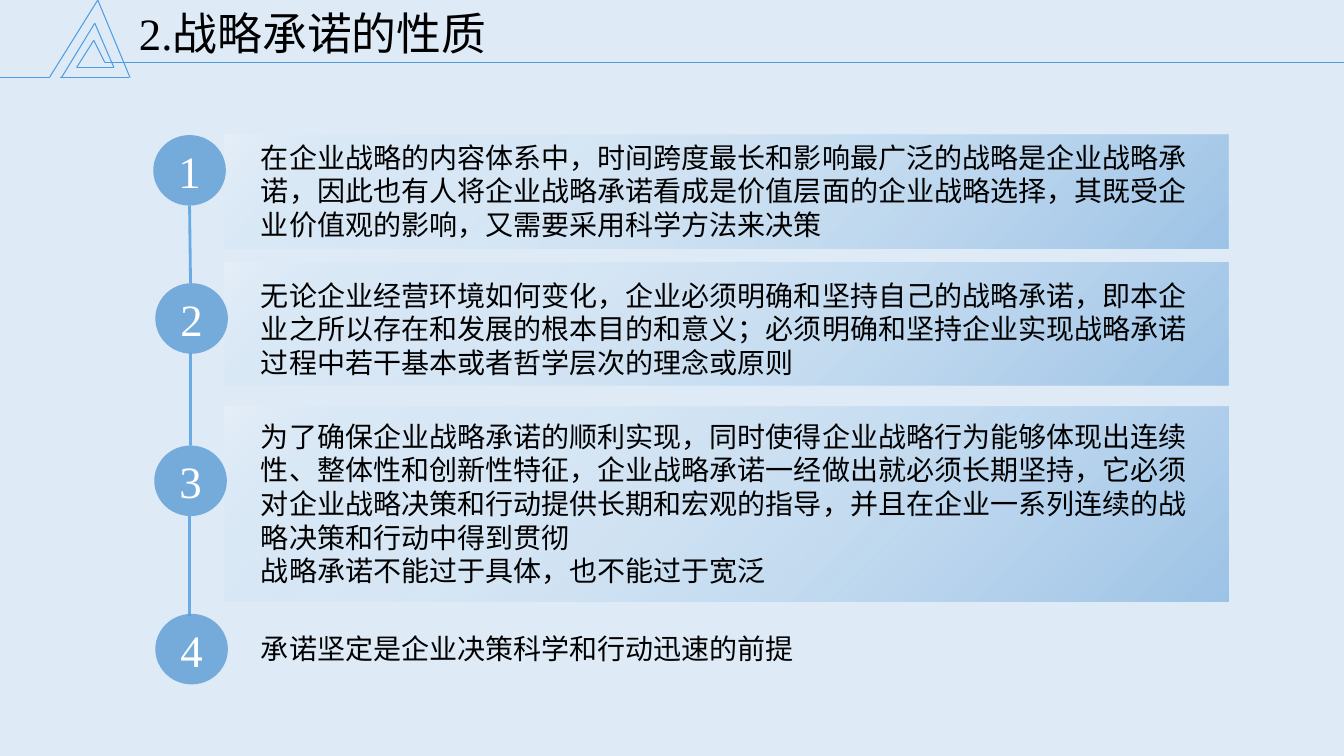
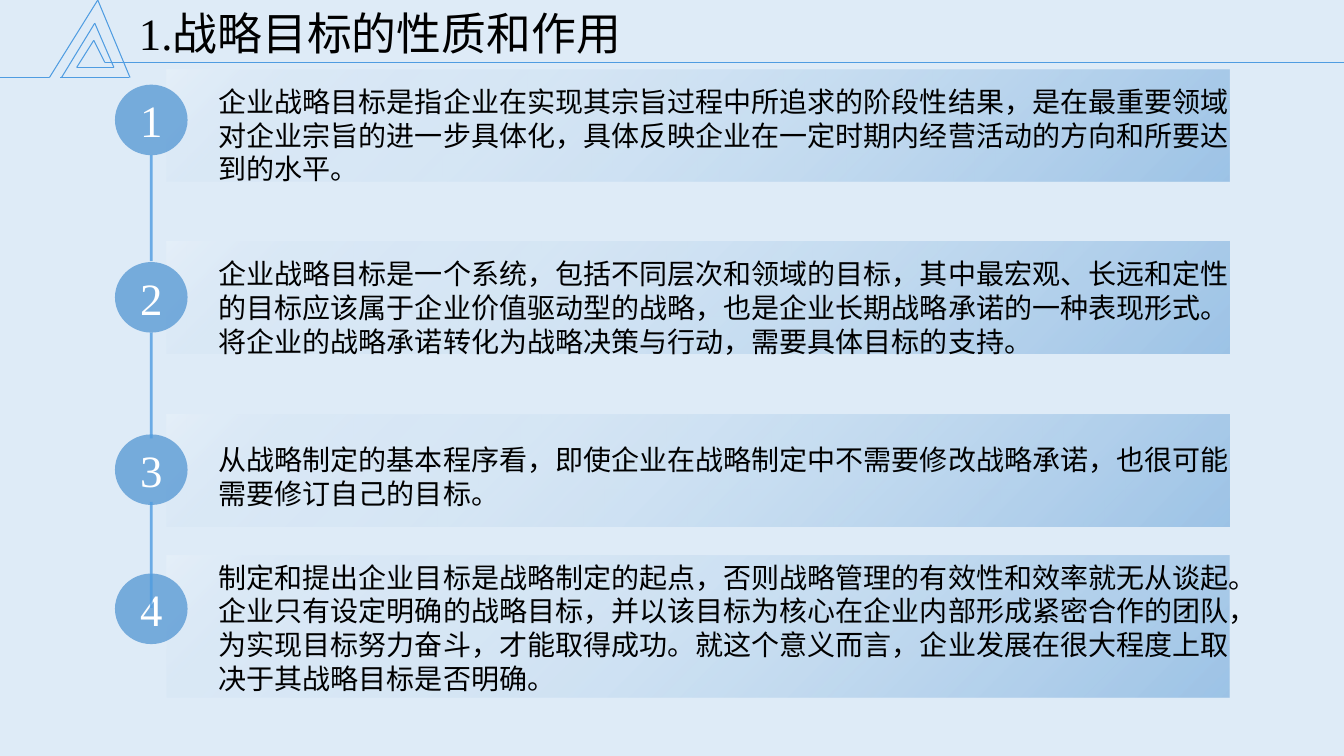
"""Build two slides on strategic commitment and strategic goals."""
from lxml import etree
from pptx import Presentation, util as u
from pptx.dml.color import RGBColor
from pptx.enum import shapes, text
from pptx.oxml import parse_xml
from pptx.oxml.ns import nsdecls, qn

COLORS = {
    "background": "DEEBF7", "line": "4F9CE1", "badge": "5B9BD5",
    "panel": "B5D2EC", "white": "FFFFFF", "black": "000000",
}
FONT = "Times New Roman"
TITLE_FORMAT = {"size": u.Pt(32), "name": FONT}
BODY_FORMAT = {"size": u.Pt(20), "name": FONT}
PANEL_STOPS = [(0, "badge", 50), (67, "panel", 20), (88, "panel", 10), (100, "white", 20)]
HEADER_LINES = [
    (1.04, 0.62, 13.33, 0.62), (0.97, 0, 0.49, 0.77), (0, 0.77, 0.49, 0.77),
    (0.97, 0, 1.29, 0.77), (0.6, 0.77, 1.28, 0.77), (0.94, 0.23, 0.61, 0.77),
    (0.76, 0.67, 1.13, 0.67), (0.93, 0.4, 0.76, 0.67), (0.93, 0.4, 1.04, 0.62),
    (0.94, 0.23, 1.13, 0.67),
]
BADGE_SIZE = (0.72, 0.7)
SLIDES = [
    {
        "title": "2.战略承诺的性质",
        "panel_span": (2.23, 9.95),
        "panels": [(1.34, 1.12), (2.6, 1.22), (4.03, 1.94)],
        "text_span": (2.49, 9.62),
        "texts": [
            (1.34, 1.11, ["在企业战略的内容体系中，时间跨度最长和影响最广泛的战略是企业战略承诺，因此也有人将企业战略承诺看成是价值层面的企业战略选择，其既受企业价值观的影响，又需要采用科学方法来决策"]),
            (2.71, 1.11, ["无论企业经营环境如何变化，企业必须明确和坚持自己的战略承诺，即本企业之所以存在和发展的根本目的和意义；必须明确和坚持企业实现战略承诺过程中若干基本或者哲学层次的理念或原则"]),
            (4.11, 1.78, ["为了确保企业战略承诺的顺利实现，同时使得企业战略行为能够体现出连续性、整体性和创新性特征，企业战略承诺一经做出就必须长期坚持，它必须对企业战略决策和行动提供长期和宏观的指导，并且在企业一系列连续的战略决策和行动中得到贯彻",
                          "战略承诺不能过于具体，也不能过于宽泛"]),
            (6.22, 0.44, ["承诺坚定是企业决策科学和行动迅速的前提"]),
        ],
        "badges": [(1.52, 1.34), (1.54, 2.81), (1.53, 4.42), (1.54, 6.09)],
        "links": [(1.88, 2.04, 1.89, 2.81), (1.89, 3.5, 1.89, 4.42), (1.88, 5.12, 1.88, 6.11)],
    },
    {
        "title": "1.战略目标的性质和作用",
        "panel_span": (1.65, 10.54),
        "panels": [(0.69, 1.11), (2.4, 1.11), (4.11, 1.11), (5.51, 1.41)],
        "text_span": (2.07, 10.25),
        "texts": [
            (0.79, 1.11, ["企业战略目标是指企业在实现其宗旨过程中所追求的阶段性结果，是在最重要领域对企业宗旨的进一步具体化，具体反映企业在一定时期内经营活动的方向和所要达到的水平。"]),
            (2.5, 1.11, ["企业战略目标是一个系统，包括不同层次和领域的目标，其中最宏观、长远和定性的目标应该属于企业价值驱动型的战略，也是企业长期战略承诺的一种表现形式。将企业的战略承诺转化为战略决策与行动，需要具体目标的支持。"]),
            (4.34, 0.77, ["从战略制定的基本程序看，即使企业在战略制定中不需要修改战略承诺，也很可能需要修订自己的目标。"]),
            (5.51, 1.45, ["制定和提出企业目标是战略制定的起点，否则战略管理的有效性和效率就无从谈起。企业只有设定明确的战略目标，并以该目标为核心在企业内部形成紧密合作的团队，为实现目标努力奋斗，才能取得成功。就这个意义而言，企业发展在很大程度上取决于其战略目标是否明确。"]),
        ],
        "badges": [(1.14, top) for top in (0.84, 2.6, 4.31, 5.69)],
        "links": [(1.5, top, 1.5, top + 1.05) for top in (1.54, 3.3, 4.98)],
    },
]


def inches(values):
    return [u.Inches(value) for value in values]


def rgb(color):
    return RGBColor.from_string(COLORS[color])


def set_font(paragraph, values, color):
    for name, value in values.items():
        setattr(paragraph.font, name, value)
    paragraph.font.color.rgb = rgb(color)


def set_alpha(fill_parent, percent):
    for color in fill_parent.iter(qn("a:srgbClr")):
        etree.SubElement(color, qn("a:alpha")).set("val", str(percent * 1000))


def add_line(slide, ends, width, alpha=None):
    connector = slide.shapes.add_connector(shapes.MSO_CONNECTOR.STRAIGHT, *inches(ends))
    connector.line.color.rgb = rgb("line")
    connector.line.width = u.Pt(width)
    properties = connector._element.spPr
    if alpha:
        set_alpha(properties, alpha)
    etree.SubElement(properties, qn("a:effectLst"))


def add_text(slide, box, lines, values, line_spacing=None):
    frame = slide.shapes.add_textbox(*inches(box)).text_frame
    frame.word_wrap = True
    frame.text = "\n".join(lines)
    for paragraph in frame.paragraphs:
        paragraph.line_spacing = line_spacing
        set_font(paragraph, values, "black")


def add_plain_shape(slide, kind, box):
    shape = slide.shapes.add_shape(kind, *inches(box))
    shape.shadow.inherit = False
    shape.line.fill.background()
    return shape


def add_panel(slide, box):
    shape = add_plain_shape(slide, shapes.MSO_SHAPE.RECTANGLE, box)
    shape.fill.background()
    stops = "".join(
        f'<a:gs pos="{position * 1000}"><a:srgbClr val="{COLORS[color]}">'
        f'<a:alpha val="{alpha * 1000}"/></a:srgbClr></a:gs>'
        for position, color, alpha in PANEL_STOPS)
    gradient = parse_xml(
        f'<a:gradFill {nsdecls("a")} rotWithShape="1"><a:gsLst>{stops}</a:gsLst>'
        '<a:path path="circle"><a:fillToRect l="100000" t="100000"/></a:path></a:gradFill>')
    properties = shape._element.spPr
    properties.replace(properties.find(qn("a:noFill")), gradient)


def add_badge(slide, position, number):
    shape = add_plain_shape(slide, shapes.MSO_SHAPE.OVAL, (*position, *BADGE_SIZE))
    shape.fill.solid()
    shape.fill.fore_color.rgb = rgb("badge")
    set_alpha(shape._element.spPr, 80)
    frame = shape.text_frame
    frame.vertical_anchor = text.MSO_ANCHOR.MIDDLE
    frame.text = str(number)
    paragraph = frame.paragraphs[0]
    paragraph.alignment = text.PP_ALIGN.CENTER
    set_font(paragraph, TITLE_FORMAT, "white")


def add_header(slide, title):
    for ends in HEADER_LINES:
        add_line(slide, ends, 0.75)
    add_text(slide, (1.28, 0.07, 11.5, 0.67), [title], TITLE_FORMAT, 0.9)


def add_content_slide(presentation, content):
    slide = presentation.slides.add_slide(presentation.slide_layouts[6])
    add_header(slide, content["title"])
    left, width = content["panel_span"]
    for top, height in content["panels"]:
        add_panel(slide, (left, top, width, height))
    left, width = content["text_span"]
    for top, height, lines in content["texts"]:
        add_text(slide, (left, top, width, height), lines, BODY_FORMAT)
    for number, position in enumerate(content["badges"], 1):
        add_badge(slide, position, number)
    for ends in content["links"]:
        add_line(slide, ends, 2, 80)


def main():
    presentation = Presentation()
    presentation.slide_width, presentation.slide_height = inches((13.33, 7.5))
    background = presentation.slide_master.background.fill
    background.solid()
    background.fore_color.rgb = rgb("background")
    for content in SLIDES:
        add_content_slide(presentation, content)
    presentation.save("out.pptx")


if __name__ == "__main__":
    main()
